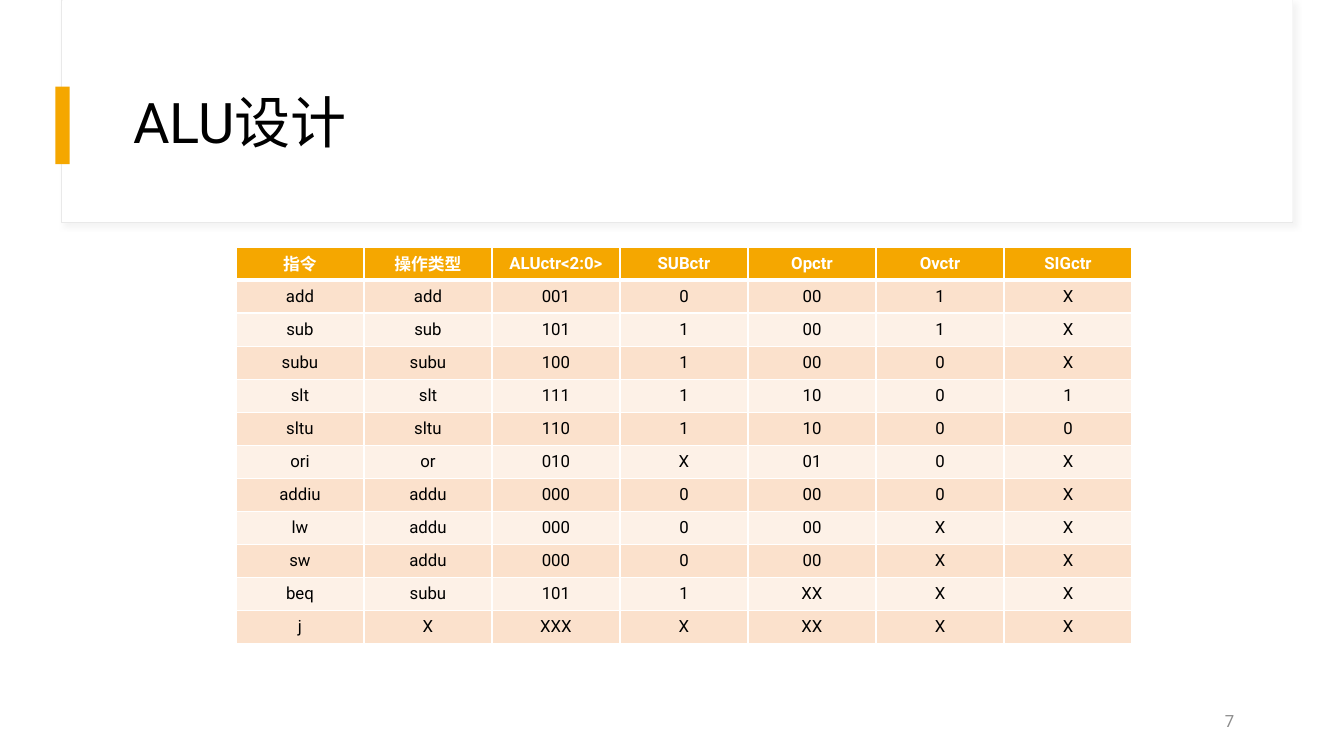
from dataclasses import dataclass
from typing import Optional

from lxml.etree import SubElement
from pptx import Presentation
from pptx.dml.color import RGBColor
from pptx.enum.shapes import MSO_SHAPE
from pptx.enum.text import MSO_ANCHOR, MSO_AUTO_SIZE, PP_ALIGN
from pptx.oxml import parse_xml
from pptx.oxml.ns import nsdecls, qn
from pptx.util import Inches, Pt

FONT = "Roboto"
BLACK = RGBColor(0x00, 0x00, 0x00)
WHITE = RGBColor(0xFF, 0xFF, 0xFF)
ORANGE = RGBColor(0xF5, 0xA7, 0x00)
PEACH = RGBColor(0xFB, 0xE1, 0xCC)
CREAM = RGBColor(0xFD, 0xF1, 0xE7)
FRAME_GREY = RGBColor(0xE9, 0xE9, 0xE9)
SHADOW_GREY = RGBColor(0xD9, 0xD9, 0xD9)
NUMBER_GREY = RGBColor(0x8C, 0x8C, 0x8C)

HEADER = ["指令", "操作类型", "ALUctr<2:0>", "SUBctr", "Opctr", "Ovctr", "SIGctr"]
INSTRUCTIONS = [
    "add add 001 0 00 1 X",
    "sub sub 101 1 00 1 X",
    "subu subu 100 1 00 0 X",
    "slt slt 111 1 10 0 1",
    "sltu sltu 110 1 10 0 0",
    "ori or 010 X 01 0 X",
    "addiu addu 000 0 00 0 X",
    "lw addu 000 0 00 X X",
    "sw addu 000 0 00 X X",
    "beq subu 101 1 XX X X",
    "j X XXX X XX X X",
]


@dataclass
class Box:
    left: float
    top: float
    width: float
    height: float
    fill: RGBColor
    line: Optional[RGBColor] = None
    shadow: bool = False


BOXES = [
    Box(0.61, 0, 12.21, 2.21, WHITE, line=FRAME_GREY, shadow=True),
    Box(0.62, 0, 12.2, 2.2, WHITE),
    Box(0.55, 0.86, 0.14, 0.77, ORANGE),
]


def write(tf, text: str, *, size: float, color: RGBColor = BLACK, bold: bool = False,
          align=PP_ALIGN.LEFT, spacing: float = 1.0) -> None:
    p = tf.paragraphs[0]
    p.alignment = align
    p.line_spacing = spacing
    r = p.add_run()
    r.text = text
    r.font.name = FONT
    r.font.size = Pt(size)
    r.font.bold = bold
    r.font.color.rgb = color


def add_shadow(sp) -> None:
    effects = sp._element.spPr.find(qn("a:effectLst"))
    effects.append(parse_xml(
        f'<a:outerShdw {nsdecls("a")} blurRad="{Pt(4)}" dist="{Pt(3)}" dir="2700000">'
        f'<a:srgbClr val="{SHADOW_GREY}"><a:alpha val="30000"/></a:srgbClr></a:outerShdw>'))


def add_box(slide, box: Box) -> None:
    sp = slide.shapes.add_shape(MSO_SHAPE.RECTANGLE, Inches(box.left), Inches(box.top),
                                Inches(box.width), Inches(box.height))
    sp.shadow.inherit = False
    sp.fill.solid()
    sp.fill.fore_color.rgb = box.fill
    if box.line is None:
        sp.line.fill.background()
    else:
        sp.line.color.rgb = box.line
        sp.line.width = Pt(0.75)
    if box.shadow:
        add_shadow(sp)


def set_borders(cell, *, top: float = 1, bottom: float = 1) -> None:
    tc_pr = cell._tc.get_or_add_tcPr()
    for side, width in (("L", 1), ("R", 1), ("T", top), ("B", bottom)):
        ln = SubElement(tc_pr, qn(f"a:ln{side}"), w=str(Pt(width)))
        fill = SubElement(ln, qn("a:solidFill"))
        SubElement(fill, qn("a:srgbClr"), val=str(WHITE))


def add_control_table(slide) -> None:
    rows = [HEADER] + [line.split() for line in INSTRUCTIONS]
    frame = slide.shapes.add_table(len(rows), len(HEADER), Inches(2.34), Inches(2.45),
                                   Inches(8.89), Inches(3.94))
    table = frame.table
    for i, row in enumerate(rows):
        is_header = i == 0
        fill = ORANGE if is_header else PEACH if i % 2 else CREAM
        for j, text in enumerate(row):
            cell = table.cell(i, j)
            set_borders(cell, top=3 if i == 1 else 1, bottom=3 if is_header else 1)
            cell.fill.solid()
            cell.fill.fore_color.rgb = fill
            cell.vertical_anchor = MSO_ANCHOR.MIDDLE
            cell.margin_left = cell.margin_right = Inches(0.06)
            cell.margin_top = cell.margin_bottom = 0
            write(cell.text_frame, text, size=12, bold=is_header,
                  color=WHITE if is_header else BLACK, align=PP_ALIGN.CENTER)


def add_title(slide) -> None:
    title = slide.shapes.title
    title.left, title.top = Inches(1.22), Inches(0.6)
    title.width, title.height = Inches(11.12), Inches(1.29)
    tf = title.text_frame
    tf.auto_size = MSO_AUTO_SIZE.NONE
    tf.word_wrap = True
    tf.vertical_anchor = MSO_ANCHOR.MIDDLE
    write(tf, "ALU设计", size=40, spacing=0.9)
    slide.shapes._spTree.append(title._element)


def add_page_number(slide) -> None:
    sp = slide.shapes.add_textbox(Inches(9.34), Inches(6.95), Inches(3), Inches(0.4))
    tf = sp.text_frame
    tf.word_wrap = True
    tf.vertical_anchor = MSO_ANCHOR.MIDDLE
    write(tf, "7", size=12, color=NUMBER_GREY, align=PP_ALIGN.RIGHT)


def main() -> None:
    prs = Presentation()
    prs.slide_width, prs.slide_height = Inches(13.33), Inches(7.5)
    slide = prs.slides.add_slide(prs.slide_layouts[5])
    for box in BOXES:
        add_box(slide, box)
    add_title(slide)
    add_page_number(slide)
    add_control_table(slide)
    prs.save("out.pptx")


if __name__ == "__main__":
    main()
